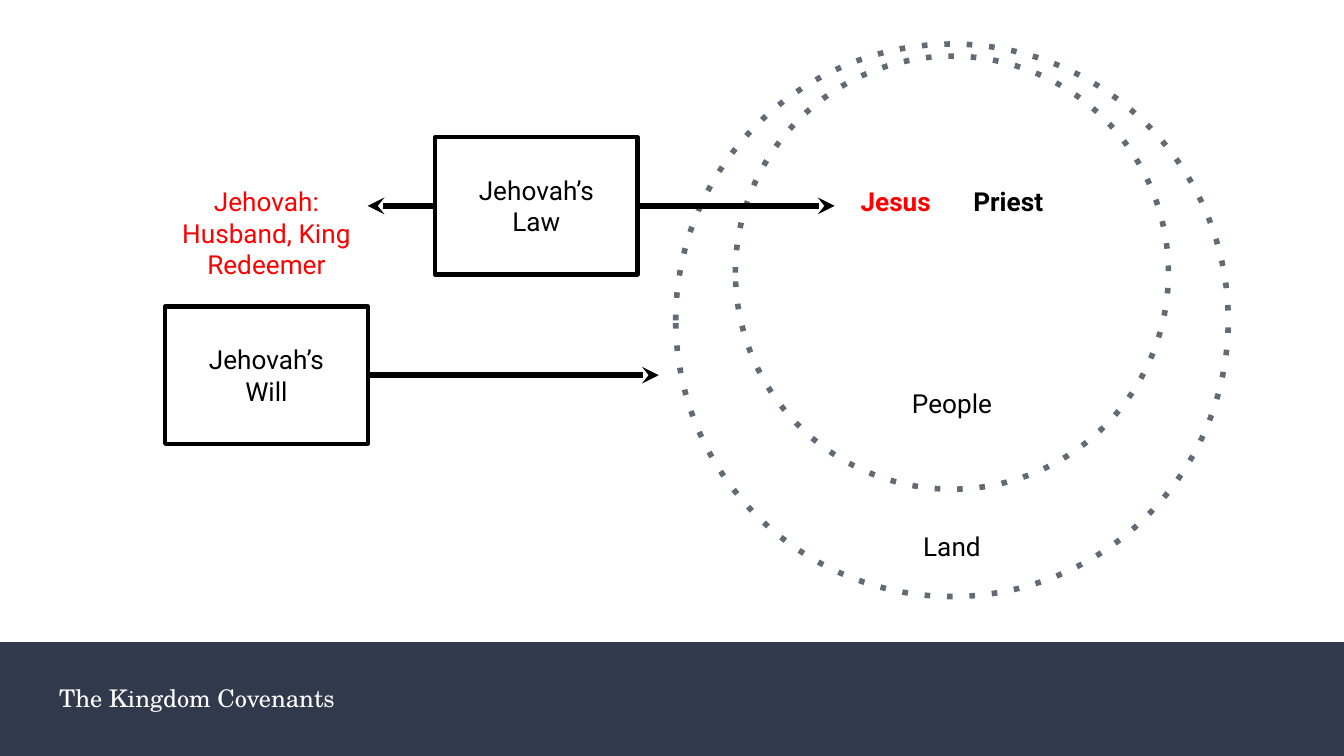
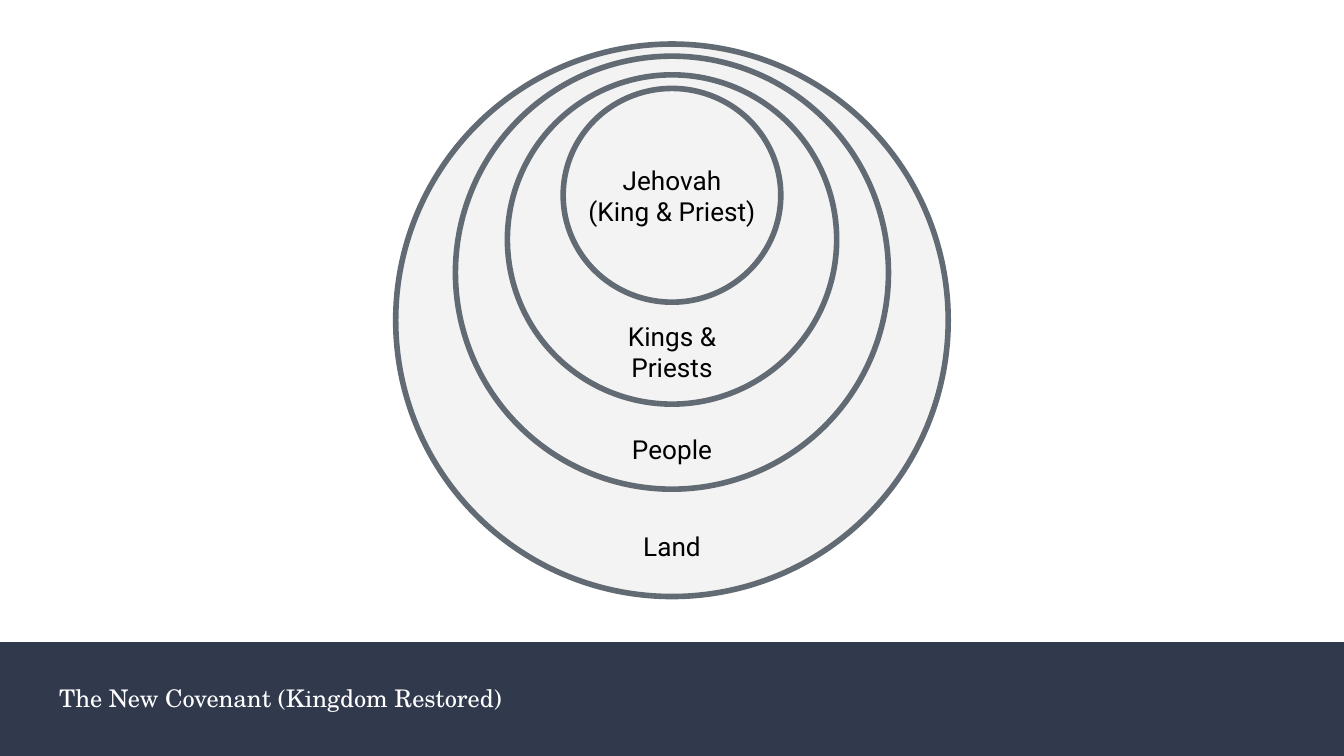
import pptx
import pptx.dml.color
import pptx.enum.shapes
import pptx.enum.text
import pptx.oxml
import pptx.oxml.ns
import pptx.util
from lxml import etree

Pt = pptx.util.Pt
SHAPE = pptx.enum.shapes.MSO_SHAPE
ANCHOR = pptx.enum.text.MSO_ANCHOR
ALIGN = pptx.enum.text.PP_ALIGN
qn = pptx.oxml.ns.qn

SLIDE_WIDTH, SLIDE_HEIGHT = 720, 405
NAVY, SLATE, PALE = "31394D", "626B73", "F3F3F3"
WHITE, BLACK, RED = "FFFFFF", "000000", "FF0000"
BODY_FONT, TITLE_FONT = "Roboto", "TeX Gyre Schola"
RINGS = {
    "land": (296, 296, 0),
    "people": (232, 232, 6.5),
    "kings": (176.4, 176.4, 16.5),
    "jehovah": (116.6, 114.5, 23.8),
}


def rgb(code):
    """Turn a hex string into a colour."""
    return pptx.dml.color.RGBColor.from_string(code)


def points(*lengths):
    """Turn numbers into lengths in points."""
    return [Pt(length) for length in lengths]


def line_part(shape, tag, value_name, value):
    """Append a dash or arrowhead to the outline of a shape."""
    outline = shape.element.spPr.find(qn("a:ln"))
    etree.SubElement(outline, qn(tag)).set(value_name, value)


def write(shape, lines, color=BLACK, font=BODY_FONT, size=14, bold=False,
          align=ALIGN.CENTER, anchor=ANCHOR.MIDDLE):
    """Write one paragraph a line into a shape and format the text."""
    frame = shape.text_frame
    frame.text = "\n".join(lines)
    layout = {"word_wrap": True, "vertical_anchor": anchor,
              "auto_size": pptx.enum.text.MSO_AUTO_SIZE.NONE}
    layout.update({"margin_" + side: Pt(7.2)
                   for side in ("left", "top", "right", "bottom")})
    for name, value in layout.items():
        setattr(frame, name, value)
    for paragraph in frame.paragraphs:
        paragraph.alignment = align
        for name, value in {"name": font, "size": Pt(size), "bold": bold}.items():
            setattr(paragraph.font, name, value)
        paragraph.font.color.rgb = rgb(color)


def add_label(shapes, box, lines, **style):
    """Add a text box."""
    write(shapes.add_textbox(*points(*box)), lines, **style)


def add_outline(slide, kind, box, fill, line, width):
    """Add a preset shape with the given fill and outline."""
    shape = slide.shapes.add_shape(kind, *points(*box))
    shape.shadow.inherit = False
    if fill:
        shape.fill.solid()
        shape.fill.fore_color.rgb = rgb(fill)
    else:
        shape.fill.background()
    if line:
        shape.line.color.rgb = rgb(line)
        shape.line.width = Pt(width)
    else:
        shape.line.fill.background()
    return shape


def add_arrow(slide, start, end, both_ends=False):
    """Add a straight black arrow."""
    arrow = slide.shapes.add_connector(
        pptx.enum.shapes.MSO_CONNECTOR.STRAIGHT, *points(*start, *end))
    arrow.line.color.rgb = rgb(BLACK)
    arrow.line.width = Pt(3)
    if both_ends:
        line_part(arrow, "a:headEnd", "type", "stealth")
    line_part(arrow, "a:tailEnd", "type", "stealth")
    etree.SubElement(arrow.element.spPr, qn("a:effectLst"))
    return arrow


def add_band(slide):
    """Place the title band on the layout shared by the slides."""
    band = add_outline(slide, SHAPE.RECTANGLE, (0, 344, SLIDE_WIDTH, 61), NAVY, None, 0)
    slide.slide_layout.shapes.element.insert(2, band.element)


def add_title(slide, title):
    """Move the title into the band and format it."""
    holder = slide.shapes.title
    box = points(24.5, 355.7, 628.5, 36)
    for name, value in zip(("left", "top", "width", "height"), box):
        setattr(holder, name, value)
    write(holder, [title], WHITE, TITLE_FONT, 13, align=ALIGN.LEFT)


def add_rings(slide, center, top, names, fill, dotted=False):
    """Draw nested rings around a vertical axis, from the outside in."""
    for name in names:
        width, height, drop = RINGS[name]
        box = (center - width / 2, top + drop, width, height)
        ring = add_outline(slide, SHAPE.OVAL, box, fill, SLATE, 3)
        if dotted:
            line_part(ring, "a:prstDash", "val", "dot")


def add_ring_labels(slide, center, top, labels):
    """Centre labels on the axis of the rings."""
    for lines, drop, width in labels:
        add_label(slide.shapes, (center - width / 2, top + drop, width, 46.8), lines)


def add_law_and_will(slide, left, top):
    """Draw the law and will boxes with their arrows."""
    width, height = 108.5, 73.6
    law_left, will_top = left + 144.6, top + 90.7
    law_middle, will_middle = top + height / 2, will_top + height / 2
    add_label(slide.shapes, (left, top + 18.7, width, 55.4),
              ["Jehovah:", "Husband, King Redeemer"], color=RED, anchor=ANCHOR.TOP)
    add_arrow(slide, (left + width, law_middle), (left + 358.6, law_middle), True)
    will = add_outline(slide, SHAPE.RECTANGLE, (left, will_top, width, height),
                       None, BLACK, 2.25)
    write(will, ["Jehovah’s", "Will"])
    law = add_outline(slide, SHAPE.RECTANGLE, (law_left, top, width, height),
                      WHITE, BLACK, 2.25)
    write(law, ["Jehovah’s", "Law"])
    purpose = add_arrow(slide, (left + width, will_middle), (left + 264.4, will_middle))
    purpose.begin_connect(will, 3)


def add_mediators(slide, left, top):
    """Group the two names inside the people ring."""
    mediators = slide.shapes.add_group_shape().shapes
    for index, (name, color) in enumerate((("Jesus", RED), ("Priest", BLACK))):
        add_label(mediators, (left + index * 60.3, top, 65.5, 36), [name],
                  color=color, bold=True, anchor=ANCHOR.TOP)


def build_kingdom_covenants(slide):
    """Build the slide on the kingdom covenants."""
    center, top = 510, 23.6
    add_title(slide, "The Kingdom Covenants")
    add_rings(slide, center, top, ("land", "people"), WHITE, dotted=True)
    add_ring_labels(slide, center, top, ((["People"], 168.9, 82.8), (["Land"], 245.4, 82.8)))
    add_law_and_will(slide, 88.5, 73.5)
    add_mediators(slide, 447.1, 92.2)


def build_new_covenant(slide):
    """Build the slide on the restored kingdom."""
    center, top = SLIDE_WIDTH / 2, 23.6
    add_title(slide, "The New Covenant (Kingdom Restored)")
    add_rings(slide, center, top, RINGS, PALE)
    add_ring_labels(slide, center, top, (
        (["People"], 193.4, 82.8),
        (["Land"], 245.4, 82.8),
        (["Jehovah", "(King & Priest)"], 57.9, 107.3),
        (["Kings & Priests"], 141.2, 82.8),
    ))


def main():
    """Build and save the presentation."""
    deck = pptx.Presentation()
    deck.slide_width, deck.slide_height = points(SLIDE_WIDTH, SLIDE_HEIGHT)
    title_only = deck.slide_layouts[5]
    covenants, restored = [deck.slides.add_slide(title_only) for _ in range(2)]
    add_band(covenants)
    build_kingdom_covenants(covenants)
    build_new_covenant(restored)
    deck.save("out.pptx")


if __name__ == "__main__":
    main()
